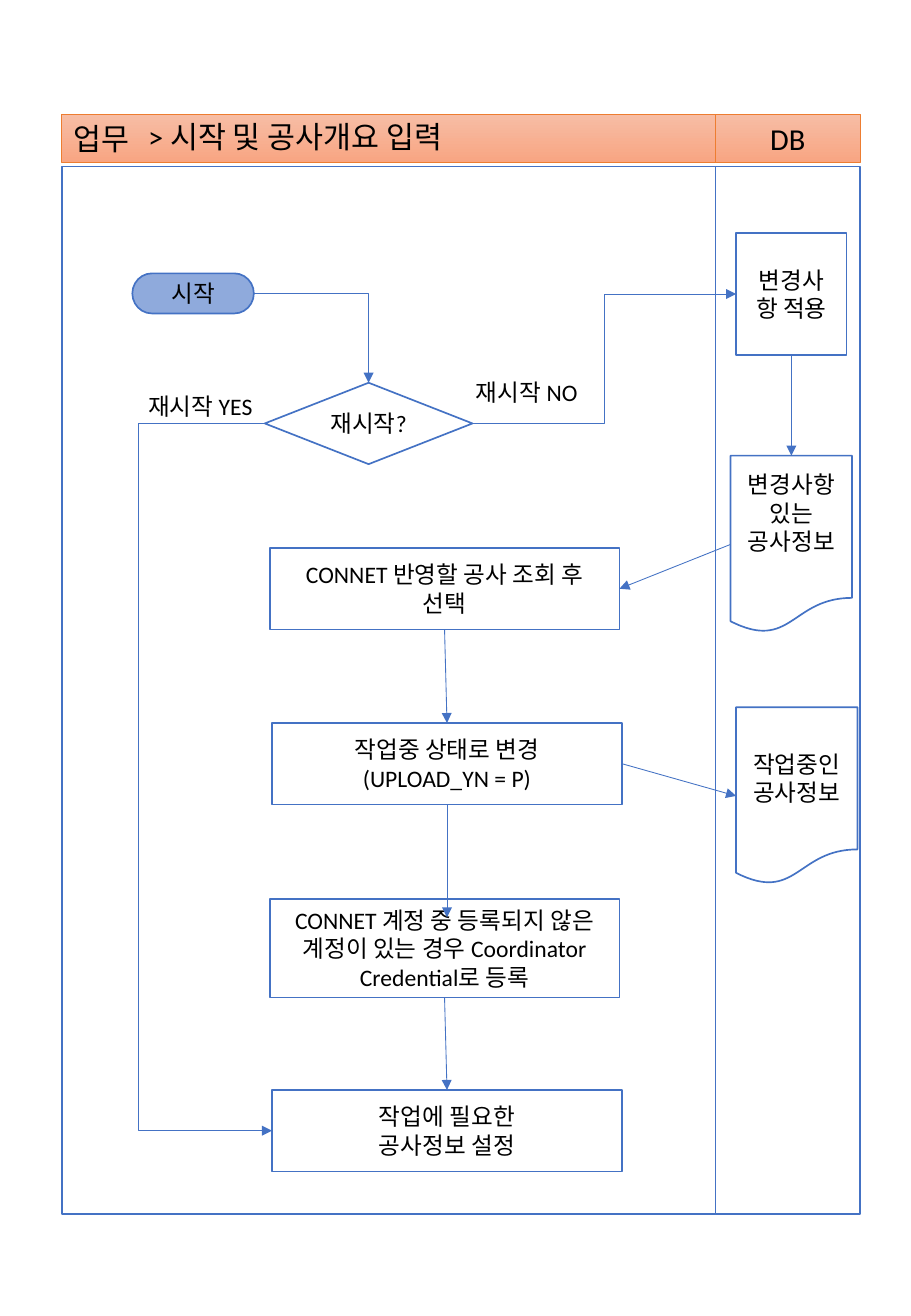
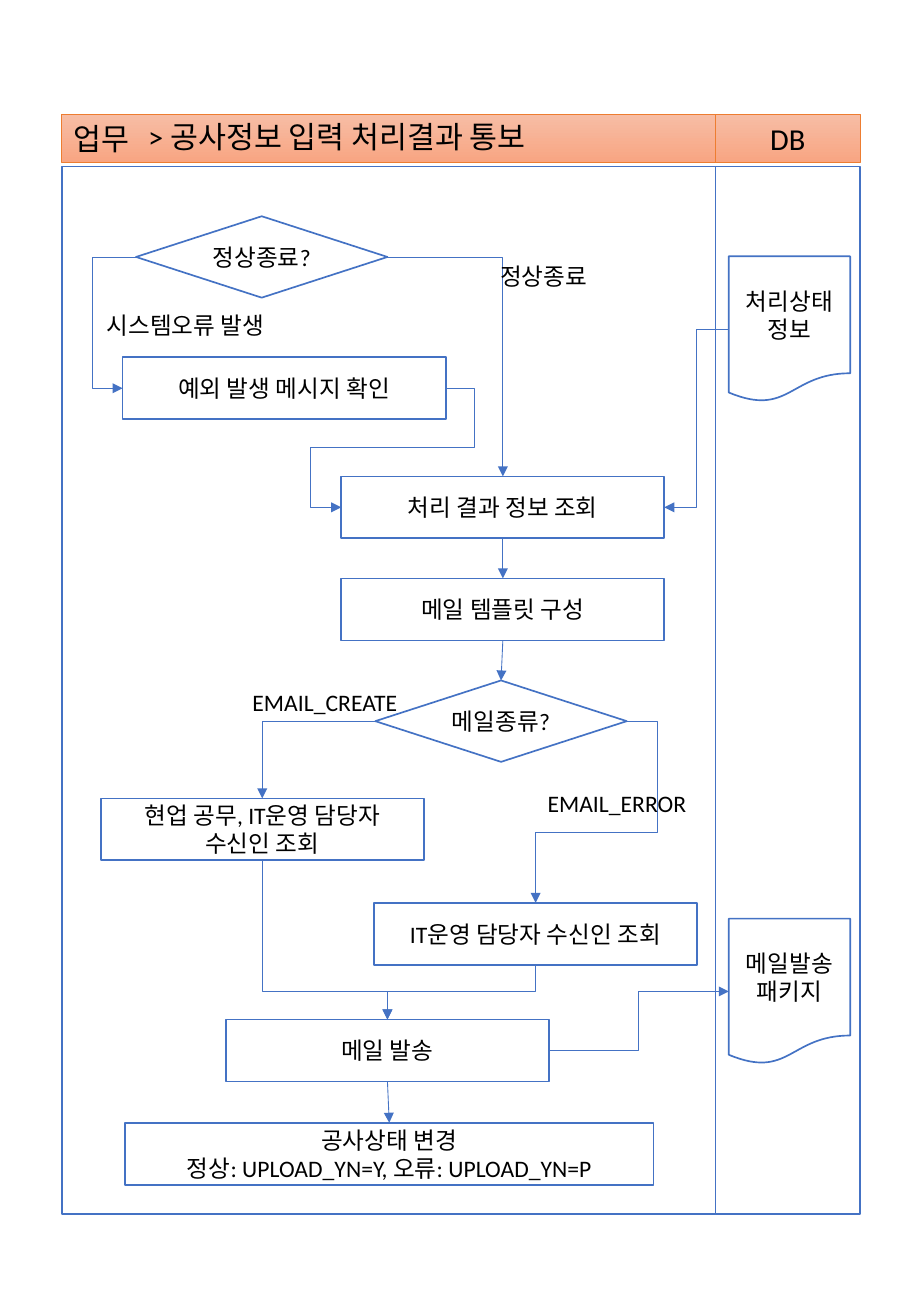
"""Build two flowchart slides for a construction data upload process."""
from dataclasses import dataclass

from lxml.etree import SubElement
from pptx import Presentation
from pptx.dml.color import RGBColor
from pptx.enum.shapes import MSO_CONNECTOR as CONNECTOR, MSO_SHAPE as SHAPE
from pptx.enum.text import MSO_ANCHOR as ANCHOR, MSO_AUTO_SIZE as AUTO_SIZE, PP_ALIGN as ALIGN
from pptx.oxml.ns import qn
from pptx.util import Inches, Pt


@dataclass(frozen=True)
class Theme:
    font: str = "Calibri"
    heading: Pt = Pt(18)
    body: Pt = Pt(14)
    text: RGBColor = RGBColor(0, 0, 0)
    paper: RGBColor = RGBColor(0xFF, 0xFF, 0xFF)
    line: RGBColor = RGBColor(0x44, 0x72, 0xC4)
    start: RGBColor = RGBColor(0x8F, 0xAA, 0xDC)
    band_line: RGBColor = RGBColor(0xED, 0x7D, 0x31)
    band: tuple = (RGBColor(0xF7, 0xBD, 0xA5), RGBColor(0xF8, 0xA5, 0x82))
    thick: Pt = Pt(1)
    thin: Pt = Pt(0.5)


THEME = Theme()
CELL = Inches(0.1)
TOP, LEFT, BOTTOM, RIGHT = range(4)
PROCESS, DECISION = SHAPE.FLOWCHART_PROCESS, SHAPE.FLOWCHART_DECISION
DOCUMENT, TERMINATOR = SHAPE.FLOWCHART_DOCUMENT, SHAPE.FLOWCHART_TERMINATOR
LANES = ((58.9, 11.9, "DB", ALIGN.CENTER), (5.1, 53.8, "업무", ALIGN.LEFT))

CHARTS = (
    {
        "title": ("> 시작 및 공사개요 입력", 28.9),
        "nodes": {
            "apply": (SHAPE.RECTANGLE, 60.6, 19.2, 9.1, 10, "변경사항 적용"),
            "start": (TERMINATOR, 10.9, 22.5, 10, 3.3, "시작"),
            "select": (PROCESS, 22.2, 45.1, 28.8, 6.7, "CONNET 반영할 공사 조회 후 선택"),
            "changed": (DOCUMENT, 60.15, 37.5, 10, 14.6, "변경사항 있는 공사정보"),
            "working": (DOCUMENT, 60.6, 58.2, 10, 14.6, "작업중인 공사정보"),
            "mark": (PROCESS, 22.4, 59.5, 28.8, 6.7, "작업중 상태로 변경\n(UPLOAD_YN = P)"),
            "register": (PROCESS, 22.2, 74, 28.8, 8.1,
                         "CONNET 계정 중 등록되지 않은 계정이 있는 경우 Coordinator Credential로 등록"),
            "restart": (DECISION, 21.8, 31.5, 17.1, 6.7, "재시작?"),
            "setup": (PROCESS, 22.4, 89.7, 28.8, 6.7, "작업에 필요한\n공사정보 설정"),
        },
        "raised": {"changed": 2.8},
        "labels": ((38.2, 30.6, 10.9, "재시작 NO"), (11.2, 31.8, 11.2, "재시작 YES")),
        "links": (
            ("apply", BOTTOM, "changed", TOP, None),
            ("changed", LEFT, "select", RIGHT, None),
            ("select", BOTTOM, "mark", TOP, None),
            ("mark", RIGHT, "working", LEFT, None),
            ("mark", BOTTOM, (36.8, 75.5), None, None),
            ("register", BOTTOM, "setup", TOP, None),
            ("start", RIGHT, "restart", TOP, ()),
            ("restart", RIGHT, "apply", LEFT, (49.8,)),
            ("restart", LEFT, "setup", LEFT, (11.4,)),
        ),
    },
    {
        "title": ("> 공사정보 입력 처리결과 통보", 35.9),
        "nodes": {
            "result": (PROCESS, 28.1, 39.2, 26.6, 5.1, "처리 결과 정보 조회"),
            "status": (DOCUMENT, 60, 21.1, 10, 12, "처리상태 정보"),
            "exception": (PROCESS, 10.1, 29.4, 26.6, 5.1, "예외 발생 메시지 확인"),
            "normal": (DECISION, 11.2, 17.8, 20.7, 6.7, "정상종료?"),
            "template": (PROCESS, 28.1, 47.6, 26.6, 5.1, "메일 템플릿 구성"),
            "mail type": (DECISION, 30.9, 56, 20.7, 6.7, "메일종류?"),
            "all staff": (PROCESS, 8.3, 65.7, 26.6, 5.1, "현업 공무, IT운영 담당자 수신인 조회"),
            "it staff": (PROCESS, 30.8, 74.3, 26.6, 5.1, "IT운영 담당자 수신인 조회"),
            "send": (PROCESS, 18.6, 83.9, 26.6, 5.1, "메일 발송"),
            "update": (PROCESS, 10.3, 92.4, 43.5, 5.1,
                       "공사상태 변경\n정상: UPLOAD_YN=Y, 오류: UPLOAD_YN=P"),
            "package": (DOCUMENT, 60, 75.6, 10, 12, "메일발송\n패키지"),
        },
        "raised": {},
        "labels": ((40.2, 21.1, 9.9, "정상종료"), (7.8, 25.1, 16.2, "시스템오류 발생"),
                   (19.8, 56.1, 14.1, "EMAIL_CREATE"), (44.1, 64.4, 13.6, "EMAIL_ERROR")),
        "links": (
            ("status", LEFT, "result", RIGHT, (57.3,)),
            ("normal", RIGHT, "result", TOP, ()),
            ("normal", LEFT, "exception", LEFT, (7.6,)),
            ("exception", RIGHT, "result", LEFT, (39.1, 36.8, 25.6)),
            ("result", BOTTOM, "template", TOP, None),
            ("template", BOTTOM, "mail type", TOP, None),
            ("mail type", LEFT, "all staff", TOP, ()),
            ("mail type", RIGHT, "it staff", TOP, (54.1, 68.5)),
            ("it staff", BOTTOM, "send", TOP, (81.6,)),
            ("all staff", BOTTOM, "send", TOP, (81.6,)),
            ("send", BOTTOM, "update", TOP, None),
            ("send", RIGHT, "package", LEFT, (52.6,)),
        ),
    },
)


def cells(*counts):
    return [round(count * CELL) for count in counts]


def write(shape, text, size, align, anchor=ANCHOR.MIDDLE, wrap=True):
    frame = shape.text_frame
    frame.text = text
    frame.word_wrap = wrap
    frame.vertical_anchor = anchor
    frame.auto_size = AUTO_SIZE.NONE if wrap else AUTO_SIZE.SHAPE_TO_FIT_TEXT
    for paragraph in frame.paragraphs:
        paragraph.alignment = align
        paragraph.font.name = THEME.font
        paragraph.font.size = size
        paragraph.font.color.rgb = THEME.text


presentation = Presentation()
presentation.slide_width, presentation.slide_height = cells(75, 108.3)

for chart in CHARTS:
    slide = presentation.slides.add_slide(presentation.slide_layouts[5])
    shapes = slide.shapes

    for left, width, heading, align in LANES:
        lane = shapes.add_shape(SHAPE.RECTANGLE, *cells(left, 13.7, width, 86.2))
        lane.shadow.inherit = False
        lane.fill.solid()
        lane.fill.fore_color.rgb = THEME.paper
        lane.line.color.rgb = THEME.line
        lane.line.width = THEME.thick
        band = shapes.add_shape(SHAPE.RECTANGLE, *cells(left, 9.4, width, 4))
        band.shadow.inherit = False
        band.fill.gradient()
        band.fill.gradient_angle = 270
        for stop, color in zip(band.fill.gradient_stops, THEME.band):
            stop.color.rgb = color
        band.line.color.rgb = THEME.band_line
        band.line.width = THEME.thin
        write(band, heading, THEME.heading, align)

    title = shapes.title
    text, width = chart["title"]
    title.left, title.top, title.width, title.height = cells(11.2, 9.2, width, 4)
    write(title, text, THEME.heading, ALIGN.LEFT, ANCHOR.TOP, wrap=False)
    band._element.addnext(title._element)

    nodes = {}
    for name, (kind, left, top, width, height, text) in chart["nodes"].items():
        node = nodes[name] = shapes.add_shape(kind, *cells(left, top, width, height))
        node.shadow.inherit = False
        node.fill.solid()
        node.fill.fore_color.rgb = THEME.start if kind == TERMINATOR else THEME.paper
        node.line.color.rgb = THEME.line
        node.line.width = THEME.thick
        write(node, text, THEME.body, ALIGN.CENTER)
    for name, margin in chart["raised"].items():
        nodes[name].text_frame.margin_bottom = cells(margin)[0]

    for begin, begin_site, end, end_site, turns in chart["links"]:
        kind = CONNECTOR.STRAIGHT if turns is None else CONNECTOR.ELBOW
        link = shapes.add_connector(kind, 0, 0, 0, 0)
        link.begin_connect(nodes[begin], begin_site)
        if end in nodes:
            link.end_connect(nodes[end], end_site)
        else:
            link.end_x, link.end_y = cells(*end)
        link.line.color.rgb = THEME.line
        link.line.width = THEME.thin
        properties = link._element.spPr
        SubElement(properties.find(qn("a:ln")), qn("a:tailEnd"), type="triangle")
        SubElement(properties, qn("a:effectLst"))
        if turns is None:
            continue

        geometry = properties.find(qn("a:prstGeom"))
        geometry.set("prst", f"bentConnector{len(turns) + 2}")
        guides = geometry.find(qn("a:avLst"))
        starts = link.begin_x, link.begin_y
        spans = link.end_x - link.begin_x, link.end_y - link.begin_y
        vertical = begin_site in (TOP, BOTTOM)
        for index, turn in enumerate(turns):
            axis = (index + vertical) % 2
            share = round((turn * CELL - starts[axis]) / spans[axis] * 100000)
            SubElement(guides, qn("a:gd"), name=f"adj{index + 1}", fmla=f"val {share}")
        if vertical:
            width, height = link.width, link.height
            link.left += (width - height) // 2
            link.top += (height - width) // 2
            link.width, link.height = height, width
            transform = properties.find(qn("a:xfrm"))
            transform.set("rot", "16200000" if spans[0] > 0 else "5400000")
            transform.set("flipH", "1" if spans[0] > 0 else "0")

    for left, top, width, text in chart["labels"]:
        label = shapes.add_textbox(*cells(left, top, width, 3.4))
        write(label, text, THEME.body, ALIGN.LEFT, ANCHOR.TOP, wrap=False)

presentation.save("out.pptx")
